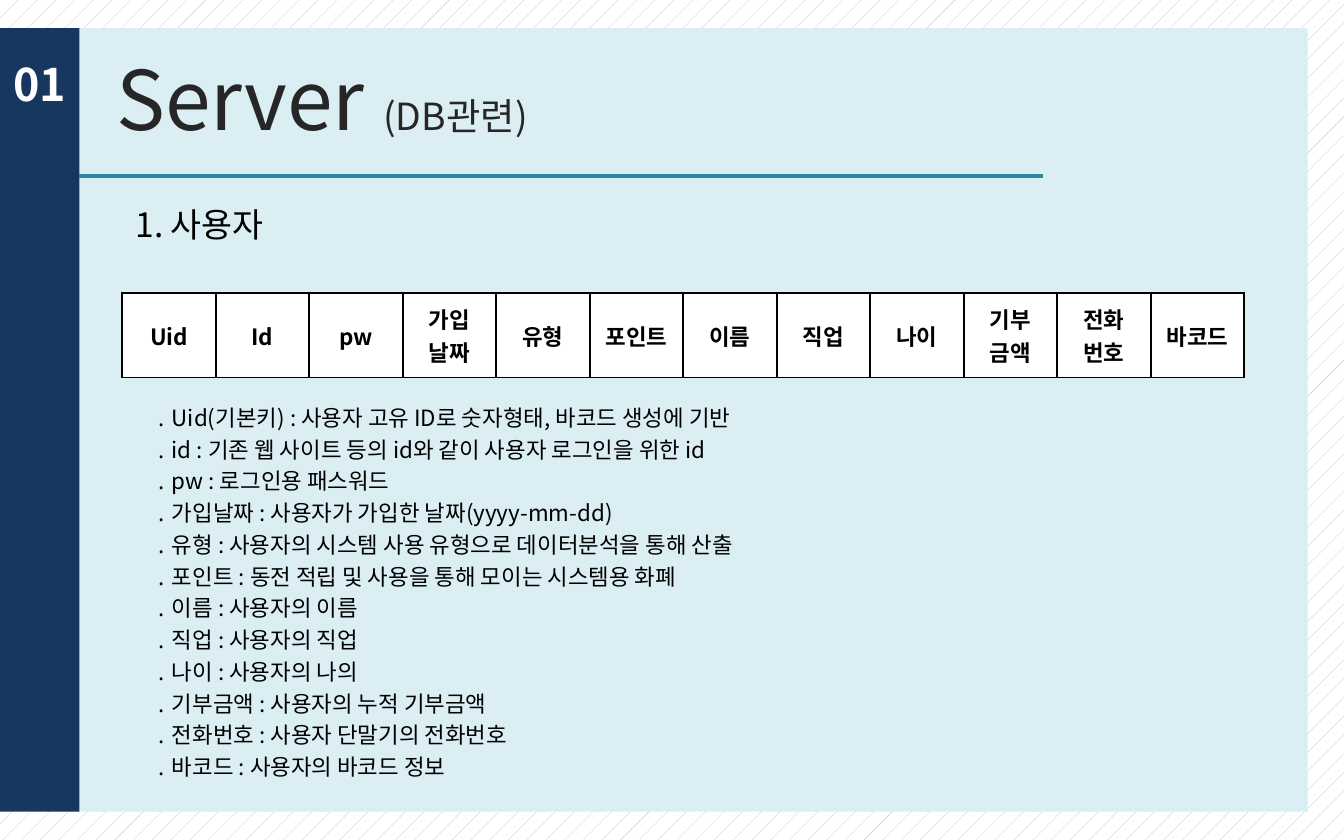
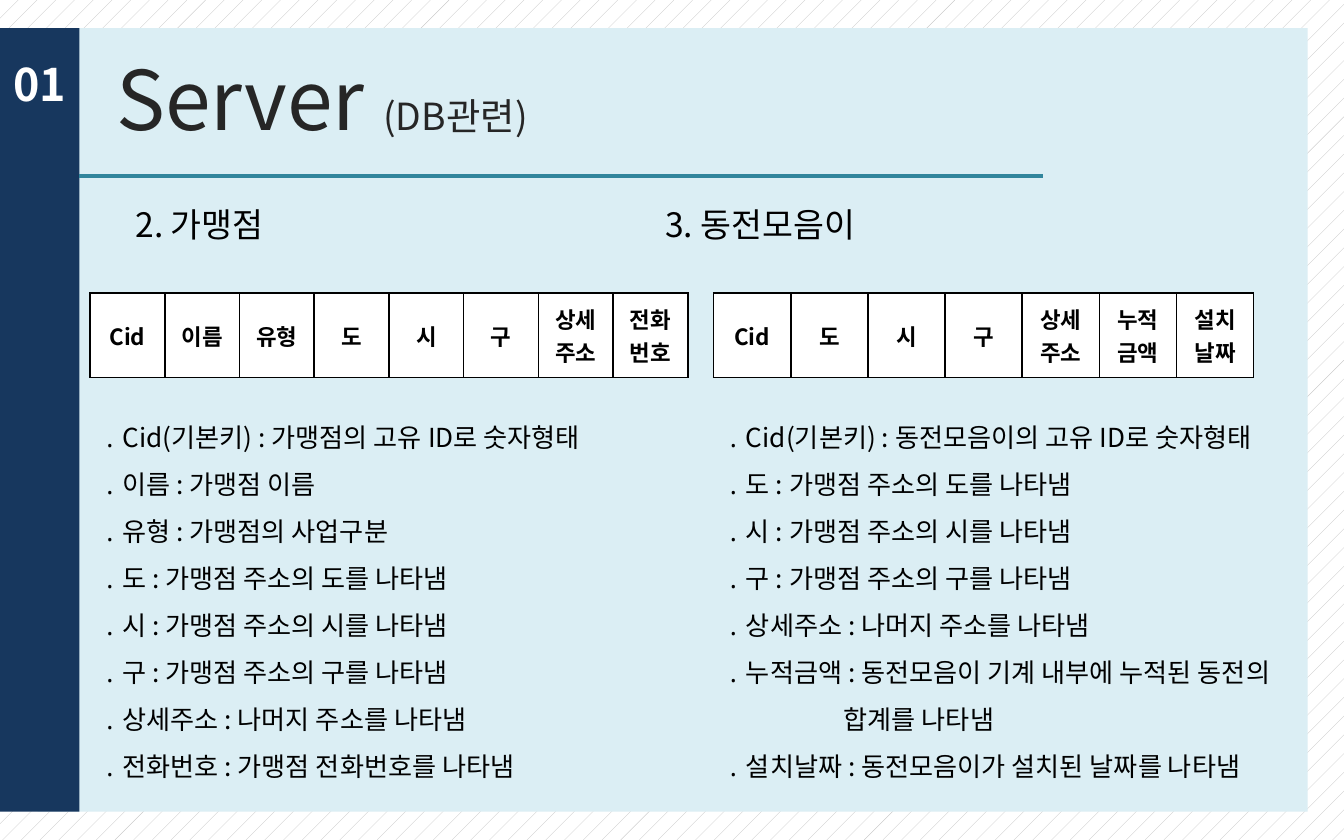
from lxml import etree
from pptx import Presentation
from pptx.dml.color import RGBColor
from pptx.enum import dml, shapes, text
from pptx.oxml import ns
from pptx.util import Inches, Pt

FONT = "Noto Sans CJK KR"
NAVY, TEAL, PALE = "17375E", "31859C", "DBEEF4"
BLACK, CHARCOAL, GREY, WHITE = "000000", "262626", "BFBFBF", "FFFFFF"


def color(value):
    """Turn a hex string into a colour."""
    return RGBColor.from_string(value)


def add_child(parent, tag, **attributes):
    """Append a drawing element to its parent."""
    return etree.SubElement(parent, ns.qn(tag), attributes)


class Deck:
    """Hold the shared style and the current page."""

    def __init__(self):
        """Start an empty deck."""
        self.deck = Presentation()
        self.deck.slide_width, self.deck.slide_height = Inches(10), Inches(6.25)
        self.page = None

    def add_page(self, number, title, subtitle):
        """Add a page with its panel, side band, title and rule."""
        self.page = self.deck.slides.add_slide(self.deck.slide_layouts[6])
        fill = self.page.background.fill
        fill.patterned()
        fill.pattern = dml.MSO_PATTERN.PERCENT_5
        fill.fore_color.rgb, fill.back_color.rgb = color(GREY), color(WHITE)
        self.band(0.28, 9.45, PALE)
        self.title(title, subtitle)
        self.band(0, 0.59, NAVY)
        self.rule(0.59, 7.76, 1.31)
        self.lines(0, 0.37, 0.67, 0.5, [number], 24, WHITE, bold=True)

    def band(self, left, width, fill):
        """Draw a full-height rectangle."""
        shape = self.page.shapes.add_shape(
            shapes.MSO_SHAPE.RECTANGLE, Inches(left), Inches(0.21), Inches(width), Inches(5.83))
        shape.shadow.inherit = False
        shape.fill.solid()
        shape.fill.fore_color.rgb = color(fill)
        shape.line.fill.background()

    def rule(self, left, right, top):
        """Draw the line under the title."""
        line = self.page.shapes.add_connector(
            shapes.MSO_CONNECTOR.STRAIGHT, Inches(left), Inches(top), Inches(right), Inches(top))
        line.line.color.rgb = color(TEAL)
        line.line.width = Pt(2.25)
        add_child(line._element.spPr, "a:effectLst")

    def style(self, para, size, ink, bold=False):
        """Set the font of a whole paragraph."""
        font = para.font
        font.name, font.bold = FONT, bold
        font.color.rgb = color(ink)
        if size:
            font.size = Pt(size)
        add_child(para._p.pPr.find(ns.qn("a:defRPr")), "a:ea", typeface=FONT)

    def frame(self, left, top, width, height):
        """Add a wrapping text box and return its frame."""
        box = self.page.shapes.add_textbox(
            Inches(left), Inches(top), Inches(width), Inches(height))
        box.text_frame.word_wrap = True
        return box.text_frame

    def title(self, title, subtitle):
        """Write the large title and its small addition."""
        frame = self.frame(-0.21, 0.21, 5.21, 1.04)
        frame.vertical_anchor = text.MSO_ANCHOR.MIDDLE
        para = frame.paragraphs[0]
        para.alignment = text.PP_ALIGN.CENTER
        self.style(para, None, CHARCOAL)
        for words, size in ((title + " ", 44), (subtitle, 20)):
            span = para.add_run()
            span.text = words
            span.font.size = Pt(size)

    def lines(self, left, top, width, height, items, size, ink=BLACK, bold=False,
              spacing=None, tab=None, indents=None):
        """Write one paragraph per item, with optional tab stop and indents by index."""
        frame = self.frame(left, top, width, height)
        for index, item in enumerate(items):
            para = frame.paragraphs[0] if index == 0 else frame.add_paragraph()
            para.text = item
            para.line_spacing = spacing
            properties = para._p.get_or_add_pPr()
            if indents and index in indents:
                properties.set("marL", str(Inches(indents[index])))
            if tab:
                stops = add_child(properties, "a:tabLst")
                add_child(stops, "a:tab", pos=str(Inches(tab)), algn="l")
            self.style(para, size, ink, bold)

    def heading(self, words, width, tab=None):
        """Write the section heading."""
        self.lines(0.91, 1.47, width, 0.4, [words], 18, tab=tab)

    def fields(self, left, width, names):
        """Draw a one-row table of field names."""
        table = self.page.shapes.add_table(
            1, len(names), Inches(left), Inches(2.18), Inches(width), Inches(0.63)).table
        table.first_row = table.horz_banding = False
        for column, cell, name in zip(table.columns, table.iter_cells(), names):
            column.width = Inches(width / len(names))
            cell.text = name
            cell.vertical_anchor = text.MSO_ANCHOR.MIDDLE
            self.borders(cell)
            cell.fill.solid()
            cell.fill.fore_color.rgb = color(WHITE)
            for para in cell.text_frame.paragraphs:
                para.alignment = text.PP_ALIGN.CENTER
                self.style(para, 12, BLACK, bold=True)

    def borders(self, cell):
        """Give a cell thin black borders."""
        properties = cell._tc.get_or_add_tcPr()
        for side in "LRTB":
            line = add_child(properties, "a:ln" + side, w=str(Pt(1)))
            add_child(add_child(line, "a:solidFill"), "a:srgbClr", val=BLACK)


def main():
    """Build both pages and save the deck."""
    deck = Deck()

    deck.add_page("01", "Server", "(DB관련)")
    deck.fields(0.91, 8.35, ["Uid", "Id", "pw", "가입\n날짜", "유형", "포인트", "이름",
                             "직업", "나이", "기부\n금액", "전화\n번호", "바코드"])
    deck.heading("1. 사용자", 1.73)
    deck.lines(1.06, 2.92, 5.28, 2.96, [
        "․ Uid(기본키) : 사용자 고유 ID로 숫자형태, 바코드 생성에 기반",
        "․ id : 기존 웹 사이트 등의 id와 같이 사용자 로그인을 위한 id",
        "․ pw : 로그인용 패스워드",
        "․ 가입날짜 : 사용자가 가입한 날짜(yyyy-mm-dd)",
        "․ 유형 : 사용자의 시스템 사용 유형으로 데이터분석을 통해 산출",
        "․ 포인트 : 동전 적립 및 사용을 통해 모이는 시스템용 화폐",
        "․ 이름 : 사용자의 이름",
        "․ 직업 : 사용자의 직업",
        "․ 나이 : 사용자의 나의",
        "․ 기부금액 : 사용자의 누적 기부금액",
        "․ 전화번호 : 사용자 단말기의 전화번호",
        "․ 바코드 : 사용자의 바코드 정보",
    ], 12, spacing=Pt(17))

    address = [f"․ {part} : 가맹점 주소의 {part}를 나타냄" for part in "도시구"]
    address.append("․ 상세주소 : 나머지 주소를 나타냄")
    deck.add_page("01", "Server", "(DB관련)")
    deck.fields(0.67, 4.45, ["Cid", "이름", "유형", "도", "시", "구", "상세\n주소", "전화\n번호"])
    deck.heading("2. 가맹점\t3. 동전모음이", 8.43, tab=3.94)
    deck.lines(0.67, 2.97, 5.28, 2.88, [
        "․ Cid(기본키) : 가맹점의 고유 ID로 숫자형태",
        "․ 이름 : 가맹점 이름",
        "․ 유형 : 가맹점의 사업구분",
        *address,
        "․ 전화번호 : 가맹점 전화번호를 나타냄",
    ], 14, spacing=1.5)
    deck.fields(5.31, 4.02, ["Cid", "도", "시", "구", "상세\n주소", "누적\n금액", "설치\n날짜"])
    deck.lines(5.31, 2.97, 5.28, 2.93, [
        "․ Cid(기본키) : 동전모음이의 고유 ID로 숫자형태",
        *address,
        "․ 누적금액 : 동전모음이 기계 내부에 누적된 동전의",
        "합계를 나타냄",
        "․ 설치날짜 : 동전모음이가 설치된 날짜를 나타냄",
    ], 14, spacing=1.5, indents={6: 0.87})

    deck.deck.save("out.pptx")


if __name__ == "__main__":
    main()
